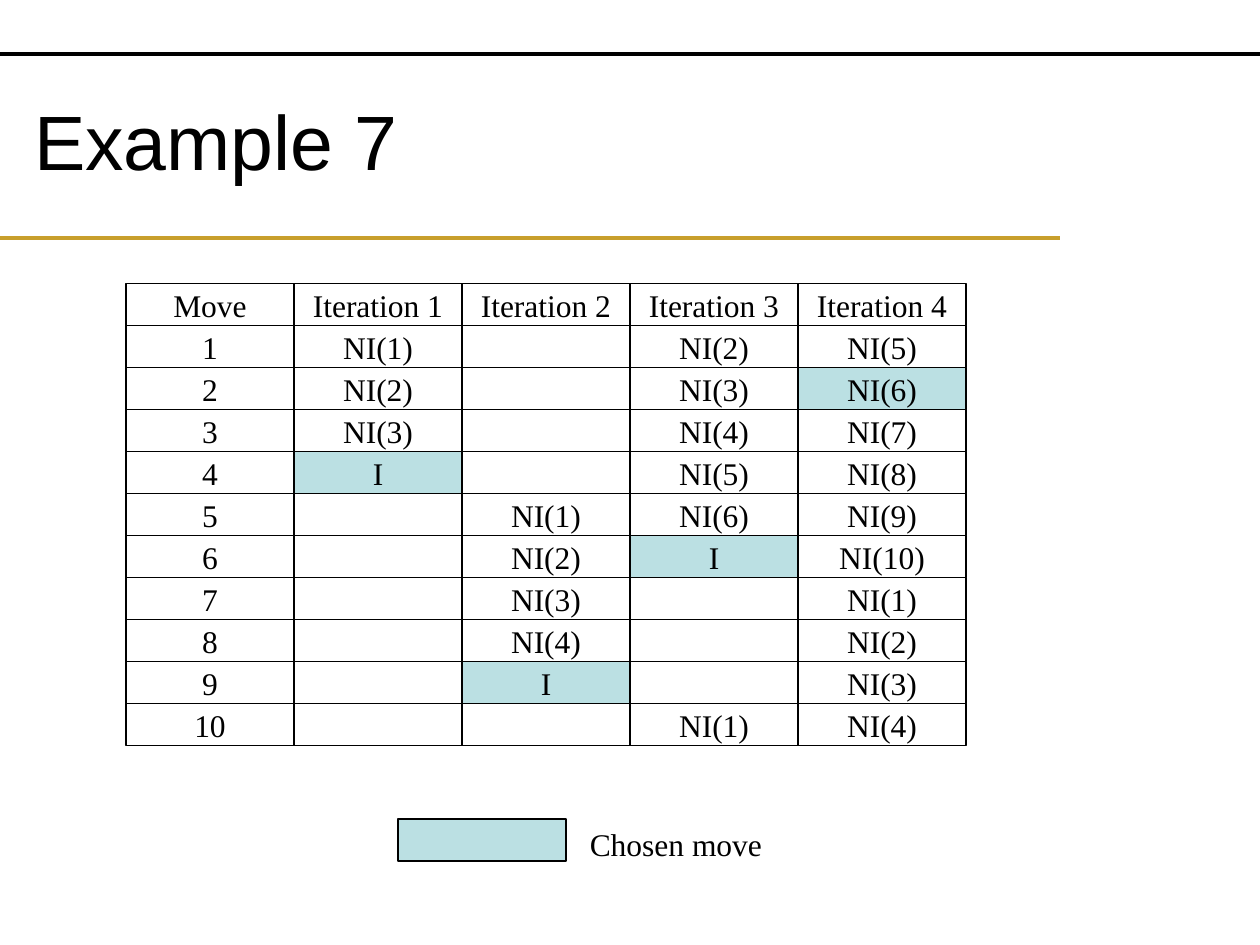
from dataclasses import dataclass

import pptx
import pptx.dml.color
import pptx.enum.shapes
import pptx.enum.text
import pptx.oxml.ns
import pptx.util
from pptx.util import Inches

COLORS = {"ink": "000000", "gold": "C89F2C", "chosen": "BBE0E3"}
SERIF = "Times New Roman"
ALIGN = pptx.enum.text.PP_ALIGN
ANCHOR = pptx.enum.text.MSO_ANCHOR

MOVES = 10
LEFT, TOP = 1, 2.25
CELL_W, CELL_H = 4 / 3, 1 / 3


@dataclass
class Rule:
    y: float
    width: float
    color: str


@dataclass
class Column:
    head: str
    cells: dict[int, str]  # move number to text
    chosen: int = 0  # move number, 0 for none


def tries(start: int, first: int, last: int) -> dict[int, str]:
    """Number the non-improving moves first to last, from row start on."""
    return {start + i: f"NI({n})" for i, n in enumerate(range(first, last + 1))}


RULES = [Rule(1.89, 8.41, "gold"), Rule(0.43, 10, "ink")]
COLUMNS = [
    Column("Move", {n: str(n) for n in range(1, MOVES + 1)}),
    Column("Iteration 1", tries(1, 1, 3) | {4: "I"}, 4),
    Column("Iteration 2", tries(5, 1, 4) | {9: "I"}, 9),
    Column("Iteration 3", tries(1, 2, 6) | {6: "I"} | tries(10, 1, 1), 6),
    Column("Iteration 4", tries(1, 5, 10) | tries(7, 1, 4), 2),
]


def rgb(name: str) -> pptx.dml.color.RGBColor:
    return pptx.dml.color.RGBColor.from_string(COLORS[name])


def write(frame, text: str, *, size: float = 18, font: str = SERIF,
          color: str = "ink", align=ALIGN.CENTER) -> None:
    para = frame.paragraphs[0]
    para.alignment = align
    run = para.add_run()
    run.text = text
    run.font.size = pptx.util.Pt(size)
    run.font.name = font
    run.font.color.rgb = rgb(color)


def draw_rule(slide, rule: Rule) -> None:
    y = Inches(rule.y)
    line = slide.shapes.add_connector(
        pptx.enum.shapes.MSO_CONNECTOR.STRAIGHT, 0, y, Inches(rule.width), y)
    line.line.color.rgb = rgb(rule.color)
    line.line.width = pptx.util.Pt(2.25)
    props = line._element.spPr
    props.append(props.makeelement(pptx.oxml.ns.qn("a:effectLst"), {}))


def draw_cell(slide, x: float, y: float, text: str = "",
              chosen: bool = False) -> None:
    cell = slide.shapes.add_shape(
        pptx.enum.shapes.MSO_SHAPE.RECTANGLE,
        Inches(x), Inches(y), Inches(CELL_W), Inches(CELL_H))
    cell.shadow.inherit = False
    cell.line.color.rgb = rgb("ink")
    cell.line.width = pptx.util.Pt(0.75)
    if chosen:
        cell.fill.solid()
        cell.fill.fore_color.rgb = rgb("chosen")
    else:
        cell.fill.background()
    if text:
        cell.text_frame.word_wrap = False
        cell.text_frame.vertical_anchor = ANCHOR.MIDDLE
        write(cell.text_frame, text)


def draw_grid(slide, columns: list[Column]) -> None:
    for c, column in enumerate(columns):
        x = LEFT + c * CELL_W
        draw_cell(slide, x, TOP, column.head)
        for move in range(1, MOVES + 1):
            draw_cell(slide, x, TOP + move * CELL_H,
                      column.cells.get(move, ""), move == column.chosen)


def draw_legend(slide) -> None:
    top = 6.5
    draw_cell(slide, 3.16, top, chosen=True)
    label = slide.shapes.add_textbox(
        Inches(4.58), Inches(top), Inches(1.57), Inches(0.4))
    label.text_frame.word_wrap = False
    write(label.text_frame, "Chosen move")


def draw_title(slide, text: str) -> None:
    title = slide.shapes.title
    title.left, title.top = Inches(0.17), Inches(0.48)
    title.width, title.height = Inches(9), Inches(1.25)
    title.text_frame.vertical_anchor = ANCHOR.MIDDLE
    write(title.text_frame, text, size=44, font="Arial", align=ALIGN.LEFT)


def main() -> None:
    deck = pptx.Presentation()
    deck.slide_width, deck.slide_height = Inches(10), Inches(7.5)
    slide = deck.slides.add_slide(deck.slide_layouts.get_by_name("Title Only"))
    for rule in RULES:
        draw_rule(slide, rule)
    draw_title(slide, "Example 7")
    draw_grid(slide, COLUMNS)
    draw_legend(slide)
    deck.save("out.pptx")


if __name__ == "__main__":
    main()
